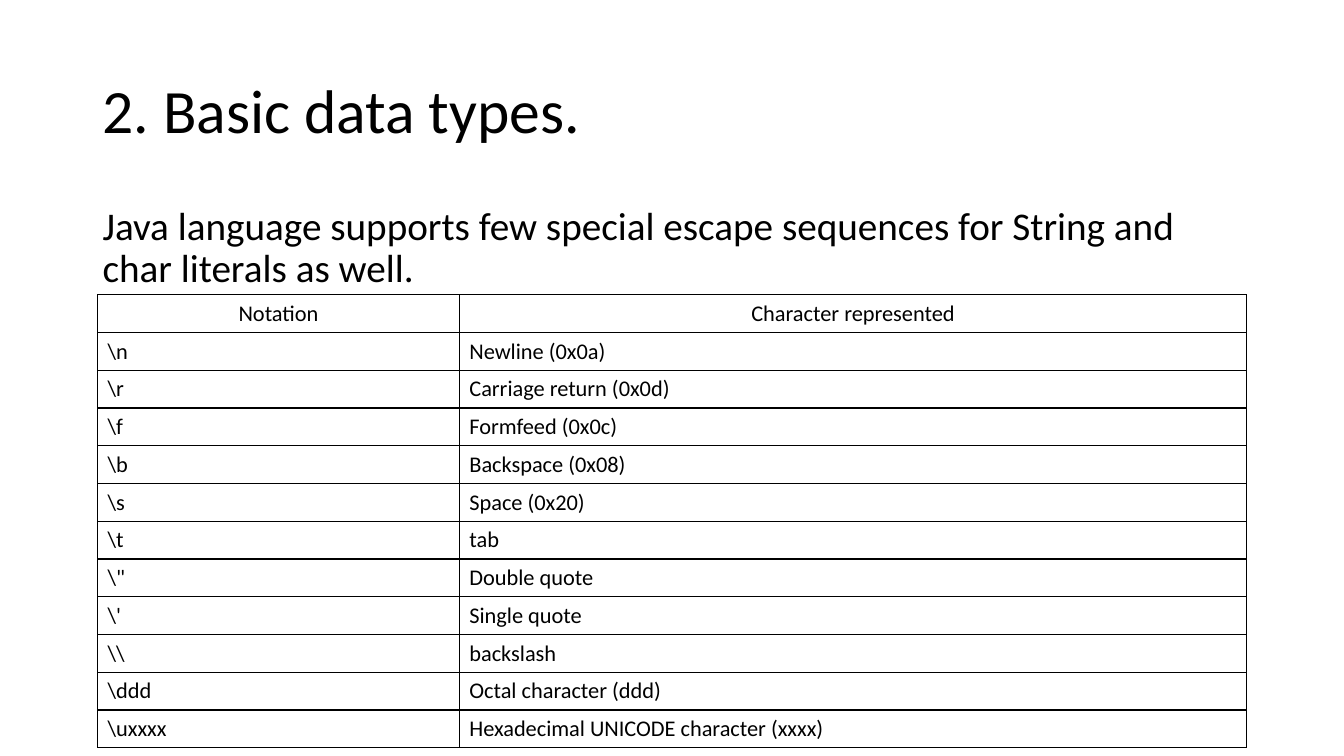
from lxml import etree
from pptx import Presentation
from pptx import util as u
from pptx.dml.color import RGBColor
from pptx.enum import text
from pptx.oxml import ns

COLORS = {"ink": "000000", "paper": "FFFFFF"}
FONT = "Calibri"

ESCAPES = [
    ("Notation", "Character represented"),
    (r"\n", "Newline (0x0a)"),
    (r"\r", "Carriage return (0x0d)"),
    (r"\f", "Formfeed (0x0c)"),
    (r"\b", "Backspace (0x08)"),
    (r"\s", "Space (0x20)"),
    (r"\t", "tab"),
    (r"\"", "Double quote"),
    (r"\'", "Single quote"),
    (r"\\", "backslash"),
    (r"\ddd", "Octal character (ddd)"),
    (r"\uxxxx", "Hexadecimal UNICODE character (xxxx)"),
]


def format_text(tf, size, align=text.PP_ALIGN.LEFT):
    for p in tf.paragraphs:
        p.alignment = align
        for r in p.runs:
            r.font.name = FONT
            r.font.size = u.Pt(size)
            r.font.color.rgb = RGBColor.from_string(COLORS["ink"])


def fill_placeholder(sp, content, box, size, anchor, space_before=0):
    sp.left, sp.top, sp.width, sp.height = (u.Cm(v) for v in box)
    tf = sp.text_frame
    tf.text = content
    tf.word_wrap = True
    tf.auto_size = text.MSO_AUTO_SIZE.NONE
    tf.vertical_anchor = anchor
    format_text(tf, size)
    p = tf.paragraphs[0]
    p.line_spacing = 0.9
    p.space_before = u.Pt(space_before)
    return p


def remove_bullet(p):
    pPr = p._p.get_or_add_pPr()
    pPr.set("marL", "0")
    pPr.set("indent", "0")
    etree.SubElement(pPr, ns.qn("a:buNone"))


def add_borders(cell):
    tcPr = cell._tc.get_or_add_tcPr()
    for side in ("lnL", "lnR", "lnT", "lnB"):
        ln = etree.SubElement(tcPr, ns.qn(f"a:{side}"), w=str(u.Pt(1)))
        fill = etree.SubElement(ln, ns.qn("a:solidFill"))
        etree.SubElement(fill, ns.qn("a:srgbClr"), val=COLORS["ink"])


def format_cell(cell, content, align):
    cell.text = content
    cell.vertical_anchor = text.MSO_ANCHOR.MIDDLE
    cell.margin_left = cell.margin_right = u.Cm(0.25)
    cell.margin_top = cell.margin_bottom = u.Cm(0.13)
    format_text(cell.text_frame, 16, align)
    add_borders(cell)
    cell.fill.background()


def add_escape_table(s, left, top, widths, row_height):
    frame = s.shapes.add_table(
        len(ESCAPES), len(widths), u.Cm(left), u.Cm(top),
        u.Cm(sum(widths)), u.Cm(row_height * len(ESCAPES)))
    table = frame.table
    table.first_row = table.horz_banding = False
    for column, width in zip(table.columns, widths):
        column.width = u.Cm(width)
    for i, contents in enumerate(ESCAPES):
        table.rows[i].height = u.Cm(row_height)
        align = text.PP_ALIGN.LEFT if i else text.PP_ALIGN.CENTER
        for j, content in enumerate(contents):
            format_cell(table.cell(i, j), content, align)


def main():
    prs = Presentation()
    prs.slide_width, prs.slide_height = u.Cm(33.87), u.Cm(19.05)
    s = prs.slides.add_slide(prs.slide_layouts[1])
    s.background.fill.solid()
    s.background.fill.fore_color.rgb = RGBColor.from_string(COLORS["paper"])
    fill_placeholder(s.shapes.title, "2. Basic data types.",
                     (2.33, 1.01, 29.21, 3.68), 44, text.MSO_ANCHOR.MIDDLE)
    p = fill_placeholder(
        s.placeholders[1],
        "Java language supports few special escape sequences "
        "for String and char literals as well.",
        (2.33, 5.07, 29.21, 12.09), 28, text.MSO_ANCHOR.TOP, 10)
    remove_bullet(p)
    add_escape_table(s, 2.46, 7.43, (9.12, 19.84), 0.93)
    prs.save("out.pptx")


if __name__ == "__main__":
    main()
